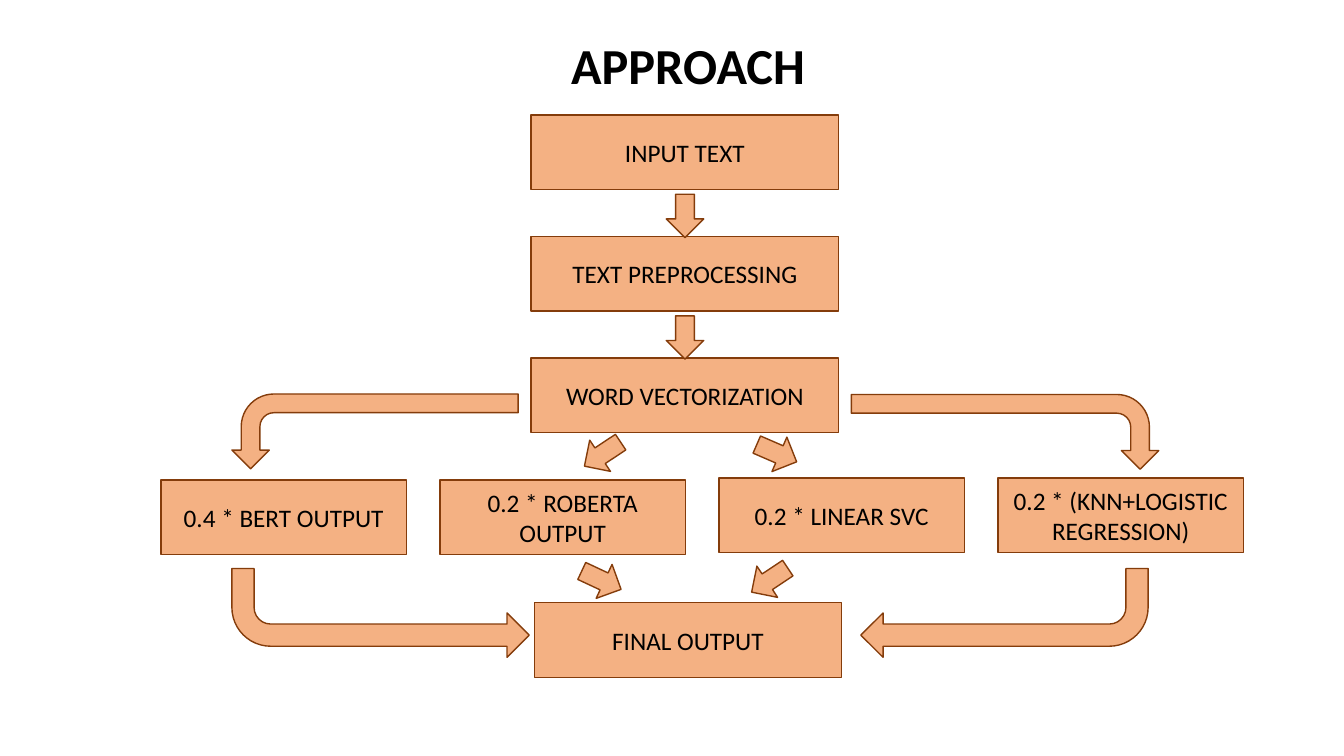
import pptx
import pptx.util
import pptx.dml.color
import pptx.enum.shapes
import pptx.enum.text

Pt = pptx.util.Pt
RGB = pptx.dml.color.RGBColor.from_string
SHAPE = pptx.enum.shapes.MSO_SHAPE

theme = {
    "font": "Calibri",
    "text": RGB("000000"),
    "fill": RGB("F4B183"),
    "line": RGB("843C0B"),
    "title_size": Pt(36),
    "step_size": Pt(18),
}

deck = pptx.Presentation()
deck.slide_width, deck.slide_height = Pt(960), Pt(540)
slide = deck.slides.add_slide(deck.slide_layouts[6])


def write(frame, wording, size, bold=False):
    frame.word_wrap = True
    frame.vertical_anchor = pptx.enum.text.MSO_ANCHOR.MIDDLE
    paragraph = frame.paragraphs[0]
    paragraph.alignment = pptx.enum.text.PP_ALIGN.CENTER
    run = paragraph.add_run()
    run.text = wording
    run.font.name = theme["font"]
    run.font.size = size
    run.font.bold = bold
    run.font.color.rgb = theme["text"]
    return paragraph


def draw(kind, left, top, width, height, rotation=0):
    shape = slide.shapes.add_shape(kind, Pt(left), Pt(top), Pt(width), Pt(height))
    shape.rotation = rotation
    shape.shadow.inherit = False
    shape.fill.solid()
    shape.fill.fore_color.rgb = theme["fill"]
    shape.line.color.rgb = theme["line"]
    shape.line.width = Pt(1)
    return shape


heading = slide.shapes.add_textbox(Pt(88.6), Pt(15.8), Pt(805.7), Pt(66.2))
write(heading.text_frame, "APPROACH", theme["title_size"], True).line_spacing = 0.9

step_width, model_width, box_height = 219.6, 175.2, 53.4
chain_left, chain_top, chain_pitch = 379.4, 82.1, 86.8
models_left, model_pitch = 115, 199.3

boxes = [("FINAL OUTPUT", 381.6, 430.4, step_width)]
for row, step in enumerate(["INPUT TEXT", "TEXT PREPROCESSING", "WORD VECTORIZATION"]):
    boxes.append((step, chain_left, chain_top + row * chain_pitch, step_width))
models = [
    ("0.4 * BERT OUTPUT", 342.8),
    ("0.2 * ROBERTA OUTPUT", 342.8),
    ("0.2 * LINEAR SVC", 341.4),
    ("0.2 * (KNN+LOGISTIC REGRESSION)", 341.4),
]
for column, (model, top) in enumerate(models):
    boxes.append((model, models_left + column * model_pitch, top, model_width))
for wording, left, top, width in boxes:
    box = draw(SHAPE.RECTANGLE, left, top, width, box_height)
    write(box.text_frame, wording, theme["step_size"])

short_arrows = [
    (475.9, 138.8, 0),
    (475.9, 138.8 + chain_pitch, 0),
    (417, 308.9, 56.4),
    (541.4, 308.2, 293.4),
    (416.2, 398.9, 295.1),
    (536.4, 398.9, 56.4),
]
for left, top, rotation in short_arrows:
    draw(SHAPE.DOWN_ARROW, left, top, 26.8, 31, rotation)

bent_arrows = [
    (691.2, 198.7, 53.4, 219.6, 90, False),
    (614.9, 406.1, 205.2, 63.4, 180, False),
    (241.2, 205.9, 53.4, 204.5, 270, True),
    (165.6, 406.1, 212.4, 63.4, 180, True),
]
for left, top, width, height, rotation, mirrored in bent_arrows:
    bend = draw(SHAPE.BENT_ARROW, left, top, width, height, rotation)
    if mirrored:
        bend.element.spPr.xfrm.set("flipH", "1")

deck.save("out.pptx")
